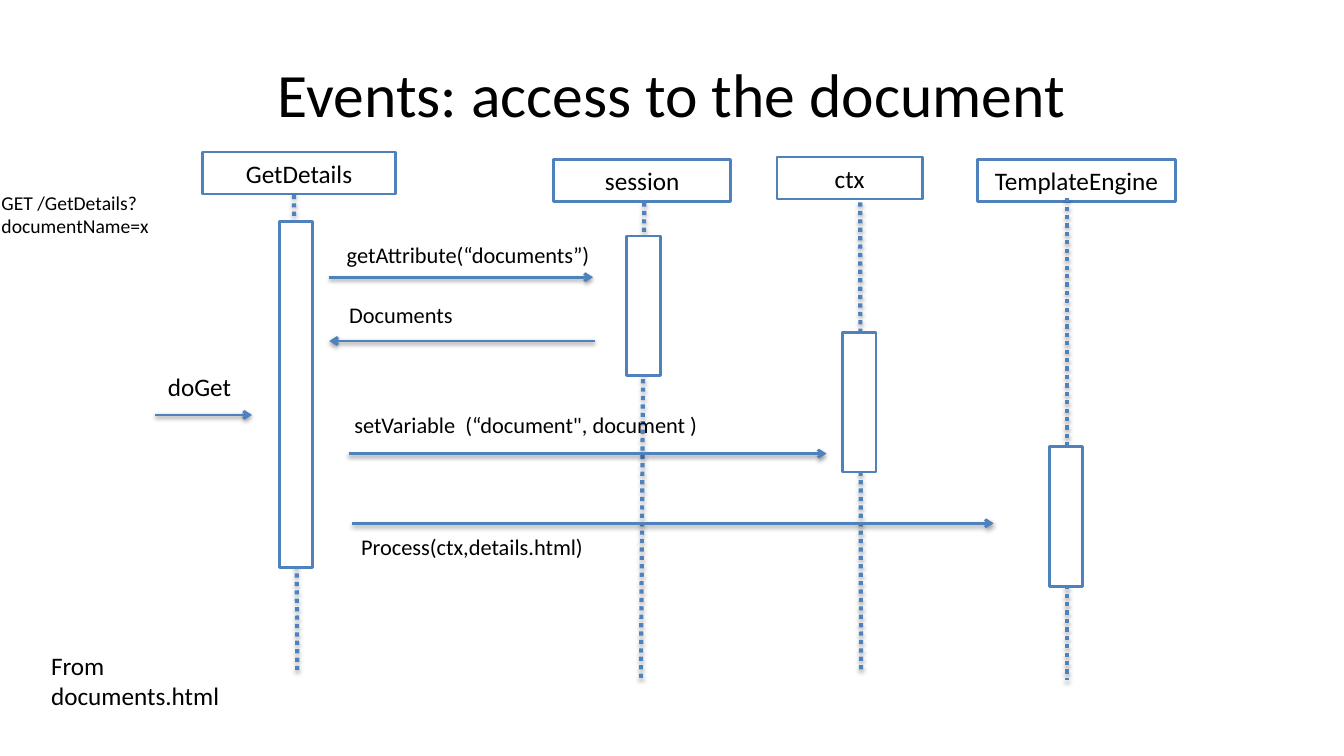
from pptx import Presentation
from pptx.dml.color import RGBColor
from pptx.enum.dml import MSO_LINE
from pptx.enum.shapes import MSO_CONNECTOR, MSO_SHAPE
from pptx.enum.text import MSO_ANCHOR, MSO_AUTO_SIZE, PP_ALIGN
from pptx.oxml import parse_xml
from pptx.oxml.ns import nsdecls, qn
from pptx.util import Inches, Pt

RECT = MSO_SHAPE.RECTANGLE
STRAIGHT = MSO_CONNECTOR.STRAIGHT
DOTTED = MSO_LINE.ROUND_DOT
MIDDLE, TOP = MSO_ANCHOR.MIDDLE, MSO_ANCHOR.TOP
LEFT, CENTER = PP_ALIGN.LEFT, PP_ALIGN.CENTER
FIT, FIXED = MSO_AUTO_SIZE.SHAPE_TO_FIT_TEXT, MSO_AUTO_SIZE.NONE

COLORS = {"text": "000000", "fill": "FFFFFF", "line": "4F81BD"}
COLS, ROWS = 160, 90
HEAD_H, BAR_W = 5, 4


def rgb(name):
    return RGBColor.from_string(COLORS[name])


class SequenceSlide:
    font = "Calibri"

    def __init__(self, prs):
        self.col = prs.slide_width / COLS
        self.row = prs.slide_height / ROWS
        self.slide = prs.slides.add_slide(prs.slide_layouts[5])

    def box(self, x, y, w, h):
        return [round(v) for v in (x * self.col, y * self.row, w * self.col, h * self.row)]

    def set_text(self, sp, text, size, align=CENTER, anchor=MIDDLE, wrap=True, fit=FIXED):
        tf = sp.text_frame
        frame = {"word_wrap": wrap, "auto_size": fit, "vertical_anchor": anchor}
        for key, value in frame.items():
            setattr(tf, key, value)
        p = tf.paragraphs[0]
        p.alignment = align
        r = p.add_run()
        r.text = text
        for key, value in {"name": self.font, "size": Pt(size)}.items():
            setattr(r.font, key, value)
        r.font.color.rgb = rgb("text")

    def title(self, text, *place):
        sp = self.slide.shapes.title
        for key, value in zip(("left", "top", "width", "height"), self.box(*place)):
            setattr(sp, key, value)
        self.set_text(sp, text, 44)

    def rect(self, *place, text=None):
        sp = self.slide.shapes.add_shape(RECT, *self.box(*place))
        sp.shadow.inherit = False
        sp.fill.solid()
        sp.fill.fore_color.rgb = rgb("fill")
        sp.line.color.rgb = rgb("line")
        sp.line.width = Pt(2)
        if text:
            self.set_text(sp, text, 18)

    def label(self, text, size, *place, align=LEFT, wrap=False):
        sp = self.slide.shapes.add_textbox(*self.box(*place))
        self.set_text(sp, text, size, align, TOP, wrap, FIT)

    def connector(self, x1, y1, x2, y2, width, dist, alpha):
        sp = self.slide.shapes.add_connector(STRAIGHT, *self.box(x1, y1, x2, y2))
        sp.line.color.rgb = rgb("line")
        sp.line.width = Pt(width)
        sp._element.spPr.append(parse_xml(
            f'<a:effectLst {nsdecls("a")}><a:outerShdw blurRad="40000" dist="{dist}" '
            f'dir="5400000" rotWithShape="0"><a:srgbClr val="{COLORS["text"]}">'
            f'<a:alpha val="{alpha}"/></a:srgbClr></a:outerShdw></a:effectLst>'))
        return sp

    def lifeline(self, x1, y1, x2, y2):
        self.connector(x1, y1, x2, y2, 3, 23000, 35000).line.dash_style = DOTTED

    def arrow(self, x1, x2, y):
        sp = self.connector(x1, y, x2, y, 2, 20000, 38000)
        ln = sp._element.spPr.find(qn("a:ln"))
        ln.append(parse_xml(f'<a:tailEnd {nsdecls("a")} type="arrow"/>'))

    def participant(self, name, head, lifeline, bar):
        x, y, w = head
        self.rect(x, y, w, HEAD_H, text=name)
        self.lifeline(*lifeline)
        x, y, h = bar
        self.rect(x, y, BAR_W, h)


PARTICIPANTS = [
    ("GetDetails", (24.1, 18.1, 23), (35, 23.2, 35.4, 80), (33.25, 26.4, 41.2)),
    ("session", (65.9, 19, 21.1), (76.7, 24.1, 76.3, 81), (74.6, 28.1, 16.6)),
    ("ctx", (92.5, 18.7, 17.3), (102.4, 24.1, 102.5, 80), (100.3, 39.6, 16.6)),
    ("TemplateEngine", (116.4, 19, 23.5), (127, 23.6, 127, 81), (124.9, 53.2, 16.6)),
]
ARROWS = [
    (18.5, 30, 49.4),
    (39.2, 70.6, 33),
    (70.8, 39.2, 40.6),
    (41.5, 98.4, 54),
    (41.9, 118.3, 62.3),
]
LABELS = [
    ("getAttribute(“documents”)", 16, (40.1, 28.1, 31.7, 4.4), {}),
    ("Documents", 16, (40.4, 35.3, 15.5, 4.4), {}),
    ('setVariable  (“document", document )', 16, (39.1, 48.4, 47, 4.4),
     {"align": CENTER, "wrap": True}),
    ("Process(ctx,details.html)", 16, (41.6, 62.9, 29.2, 4.4), {"align": CENTER}),
    ("From documents.html", 18, (4.9, 76.8, 25, 8.5), {"wrap": True}),
    ("doGet", 18, (18.8, 43.6, 10.1, 4.8), {}),
    ("GET /GetDetails?documentName=x", 14, (-1, 22.1, 35.3, 9.7), {"wrap": True}),
]


def main():
    prs = Presentation()
    prs.slide_width, prs.slide_height = Inches(13.33), Inches(7.5)
    s = SequenceSlide(prs)
    s.title("Events: access to the document", 8, 3.6, 144, 15)
    for participant in PARTICIPANTS:
        s.participant(*participant)
    for arrow in ARROWS:
        s.arrow(*arrow)
    for text, size, place, style in LABELS:
        s.label(text, size, *place, **style)
    prs.save("out.pptx")


if __name__ == "__main__":
    main()
